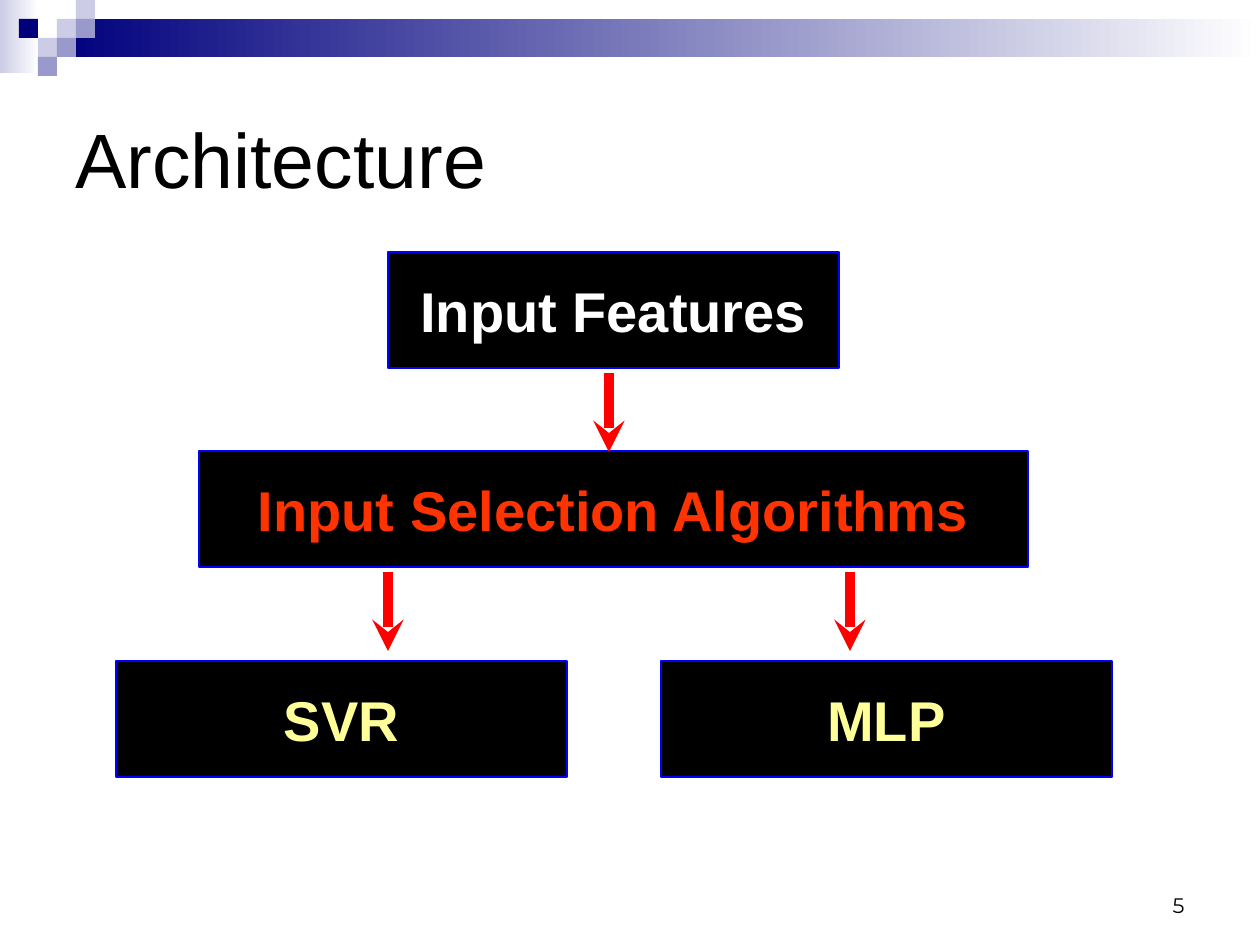
from lxml.etree import SubElement as Sub
from pptx import Presentation
from pptx.dml.color import RGBColor
from pptx.enum.shapes import MSO_CONNECTOR as Link, MSO_SHAPE as Kind
from pptx.enum.text import MSO_ANCHOR as Anchor, PP_ALIGN as Align
from pptx.oxml.ns import qn
from pptx.util import Pt

SCALE = 914400 / 126


def px(*vals):
    return [round(v * SCALE) for v in vals]


def rgb(hex):
    return RGBColor.from_string(hex)


class Deck:
    title = {"name": "Arial", "size": Pt(44), "bold": False}
    strong = {"name": "Arial", "size": Pt(32), "bold": True}
    number = {"name": "Montserrat", "size": Pt(12), "bold": False}

    def __init__(self, wide, high):
        self.prs = Presentation()
        self.prs.slide_width, self.prs.slide_height = px(wide, high)
        self.slide = self.prs.slides.add_slide(self.prs.slide_layouts[6])
        self.shapes = self.slide.shapes

    def rect(self, area, fill, line=None):
        shape = self.shapes.add_shape(Kind.RECTANGLE, *px(*area))
        shape.shadow.inherit = False
        shape.fill.solid()
        shape.fill.fore_color.rgb = rgb(fill)
        if line:
            shape.line.color.rgb = rgb(line)
            shape.line.width = Pt(1)
        else:
            shape.line.fill.background()
        return shape

    def fade(self, area, left, right):
        fill = self.rect(area, left).fill
        fill.gradient()
        fill.gradient_angle = 0
        for stop, hex in zip(fill.gradient_stops, (left, right)):
            stop.color.rgb = rgb(hex)

    def put(self, shape, words, style, hex, align, anchor, wrap):
        frame = shape.text_frame
        frame.word_wrap = wrap
        frame.vertical_anchor = anchor
        para = frame.paragraphs[0]
        para.alignment = align
        run = para.add_run()
        run.text = words
        for key, val in style.items():
            setattr(run.font, key, val)
        run.font.color.rgb = rgb(hex)

    def label(self, area, words, style, align, anchor):
        box = self.shapes.add_textbox(*px(*area))
        self.put(box, words, style, "000000", align, anchor, True)

    def block(self, area, words, hex):
        box = self.rect(area, "000000", "0000FF")
        self.put(box, words, self.strong, hex, Align.CENTER, Anchor.MIDDLE, False)

    def arrow(self, x, top, end):
        link = self.shapes.add_connector(Link.STRAIGHT, *px(x, top, x, end))
        link.line.color.rgb = rgb("FF0000")
        link.line.width = Pt(6)
        props = link.element.spPr
        line = props.find(qn("a:ln"))
        line.set("cap", "sq")
        Sub(line, qn("a:tailEnd")).set("type", "stealth")
        Sub(props, qn("a:effectLst"))

    def save(self):
        self.prs.save("out.pptx")


def main():
    deck = Deck(1260, 945)

    deck.fade((0, 0, 39, 73), "CCCCE6", "FFFFFF")
    deck.fade((57, 19, 1203, 38), "00007D", "FFFFFF")
    unit = 19
    tiles = [(3, 1, "CCCCE6"), (4, 0, "CCCCE6"), (4, 1, "9999CC"),
             (2, 2, "CCCCE6"), (1, 1, "00007D"), (3, 2, "9999CC"),
             (2, 3, "9999CC")]
    for col, row, hex in tiles:
        deck.rect((col * unit, row * unit, unit, unit), hex)

    deck.label((63, 63, 1134, 189), "Architecture", deck.title,
               Align.LEFT, Anchor.MIDDLE)

    blocks = [(388, 252, 451, "Input Features", "FFFFFF"),
              (199, 451, 829, "Input Selection Algorithms", "FF3300"),
              (116, 661, 451, "SVR", "FFFF99"),
              (661, 661, 451, "MLP", "FFFF99")]
    for x, y, wide, words, hex in blocks:
        deck.block((x, y, wide, 116), words, hex)

    for x, top in ((609, 378), (388, 577), (850, 577)):
        deck.arrow(x, top, top + 74)

    deck.label((903, 861, 294, 63), "5", deck.number, Align.RIGHT, Anchor.BOTTOM)
    deck.save()


if __name__ == "__main__":
    main()
